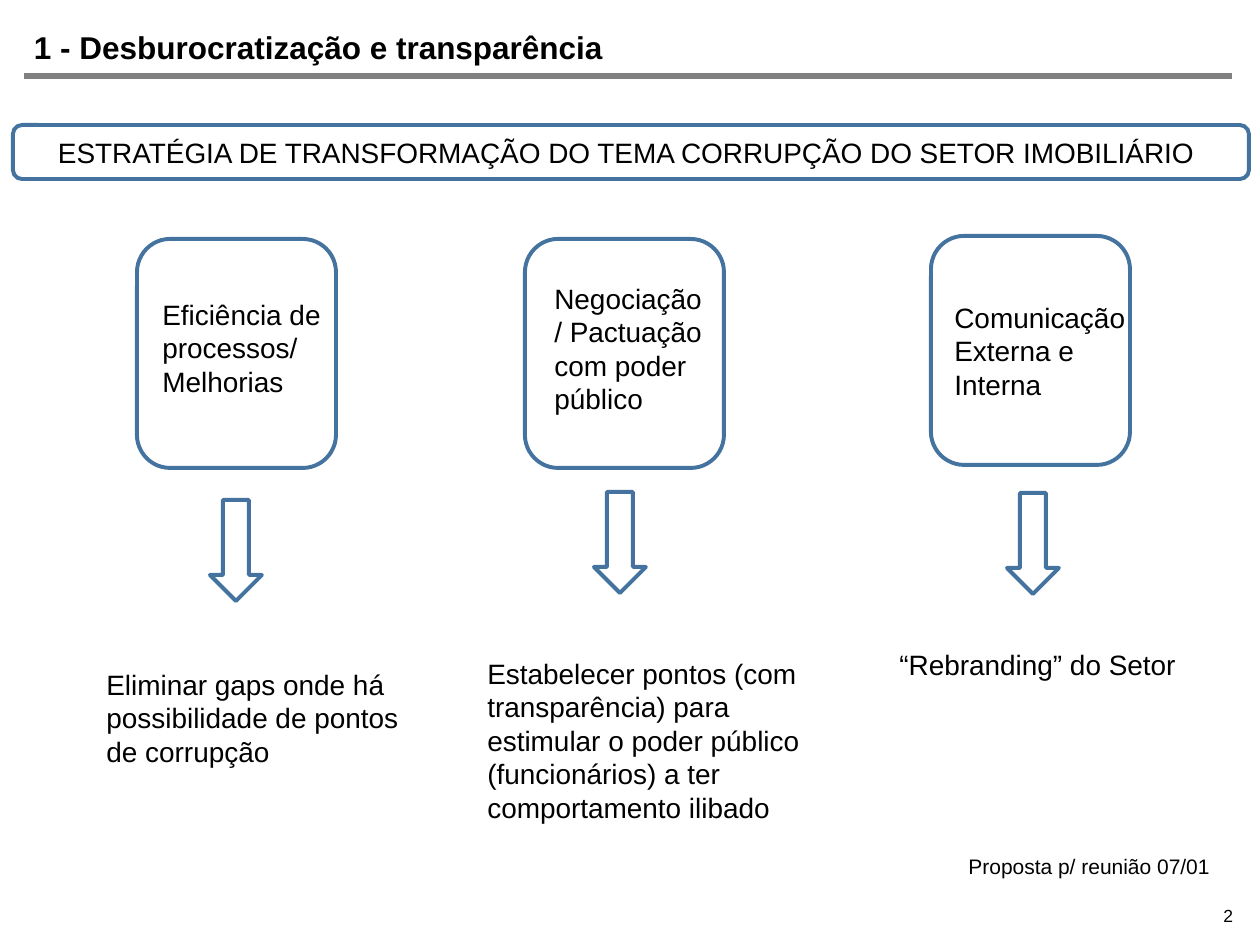
from lxml.etree import SubElement
from pptx import Presentation
from pptx.dml.color import RGBColor
from pptx.enum.shapes import MSO_CONNECTOR, MSO_SHAPE
from pptx.enum.text import MSO_ANCHOR as Anchor, PP_ALIGN as Align
from pptx.oxml.ns import qn
from pptx.util import Emu, Pt

PX = 914400 / 126
BLACK, WHITE, GRAY, BLUE = "000000", "FFFFFF", "808080", "43739E"
PILLAR_SIZE = (199, 229)
ARROW_SIZE = (52, 101)

# Each pillar: text, its box, pillar corner, arrow corner, outcome, its box
PILLARS = [
    ("Eficiência de processos/ Melhorias", (150, 291, 204, 115),
     (137, 239), (210, 500),
     "Eliminar gaps onde há possibilidade de pontos de corrupção",
     (94, 661, 323, 115)),
    ("Negociação/ Pactuação com poder público", (542, 275, 178, 149),
     (525, 239), (594, 492),
     "Estabelecer pontos (com transparência) para estimular o poder público "
     "(funcionários) a ter comportamento ilibado",
     (475, 650, 352, 183)),
    ("Comunicação Externa e Interna", (942, 294, 228, 115),
     (931, 236), (1007, 493),
     "“Rebranding” do Setor", (887, 641, 352, 47)),
]


def px(*lengths):
    return [Emu(round(length * PX)) for length in lengths]


def color(hex_code):
    return RGBColor.from_string(hex_code)


def write(frame, text, size, align=Align.LEFT, bold=False,
          anchor=Anchor.TOP, margins=True):
    frame.word_wrap = True
    frame.vertical_anchor = anchor
    if not margins:
        frame.margin_left = frame.margin_right = 0
        frame.margin_top = frame.margin_bottom = 0
    paragraph = frame.paragraphs[0]
    paragraph.alignment = align
    run = paragraph.add_run()
    run.text = text
    run.font.name = "Arial"
    run.font.size = Pt(size)
    run.font.bold = bold
    run.font.color.rgb = color(BLACK)
    return paragraph


def add_title(slide, text, box):
    title = slide.shapes.title
    title.left, title.top, title.width, title.height = px(*box)
    paragraph = write(title.text_frame, text, 18, bold=True, margins=False)
    paragraph.line_spacing = 0.9


def add_text(slide, text, box, size=16, **layout):
    label = slide.shapes.add_textbox(*px(*box))
    write(label.text_frame, text, size, **layout)
    return label


def add_outlined(slide, kind, box):
    outlined = slide.shapes.add_shape(kind, *px(*box))
    outlined.shadow.inherit = False
    outlined.fill.solid()
    outlined.fill.fore_color.rgb = color(WHITE)
    outlined.line.color.rgb = color(BLUE)
    outlined.line.width = Pt(2.25)


def add_rule(slide, left, right, y):
    rule = slide.shapes.add_connector(
        MSO_CONNECTOR.STRAIGHT, *px(left, y, right, y))
    rule.line.color.rgb = color(GRAY)
    rule.line.width = Pt(3.2)
    SubElement(rule._element.spPr, qn("a:effectLst"))


def main():
    deck = Presentation()
    deck.slide_width, deck.slide_height = px(1260, 945)
    slide = deck.slides.add_slide(deck.slide_layouts[5])

    # Heading
    add_rule(slide, 24, 1232, 76)
    add_title(slide, "1 - Desburocratização e transparência",
              (34, 32, 1198, 44))

    # Strategy banner
    add_outlined(slide, MSO_SHAPE.ROUNDED_RECTANGLE, (13, 125, 1236, 54))
    banner = add_text(
        slide,
        "ESTRATÉGIA DE TRANSFORMAÇÃO DO TEMA CORRUPÇÃO DO SETOR IMOBILIÁRIO",
        (25, 129, 1203, 47), align=Align.CENTER)
    banner.fill.solid()
    banner.fill.fore_color.rgb = color(WHITE)

    # Pillars, each leading down to its outcome
    for pillar, pillar_box, corner, arrow, outcome, outcome_box in PILLARS:
        add_outlined(slide, MSO_SHAPE.ROUNDED_RECTANGLE, corner + PILLAR_SIZE)
        add_text(slide, pillar, pillar_box)
        add_outlined(slide, MSO_SHAPE.DOWN_ARROW, arrow + ARROW_SIZE)
        add_text(slide, outcome, outcome_box)

    # Meeting note and page number
    add_text(slide, "Proposta p/ reunião 07/01", (956, 847, 282, 38), size=12)
    add_text(slide, "2", (939, 905, 294, 21), size=10, align=Align.RIGHT,
             anchor=Anchor.BOTTOM, margins=False)

    deck.save("out.pptx")


if __name__ == "__main__":
    main()
